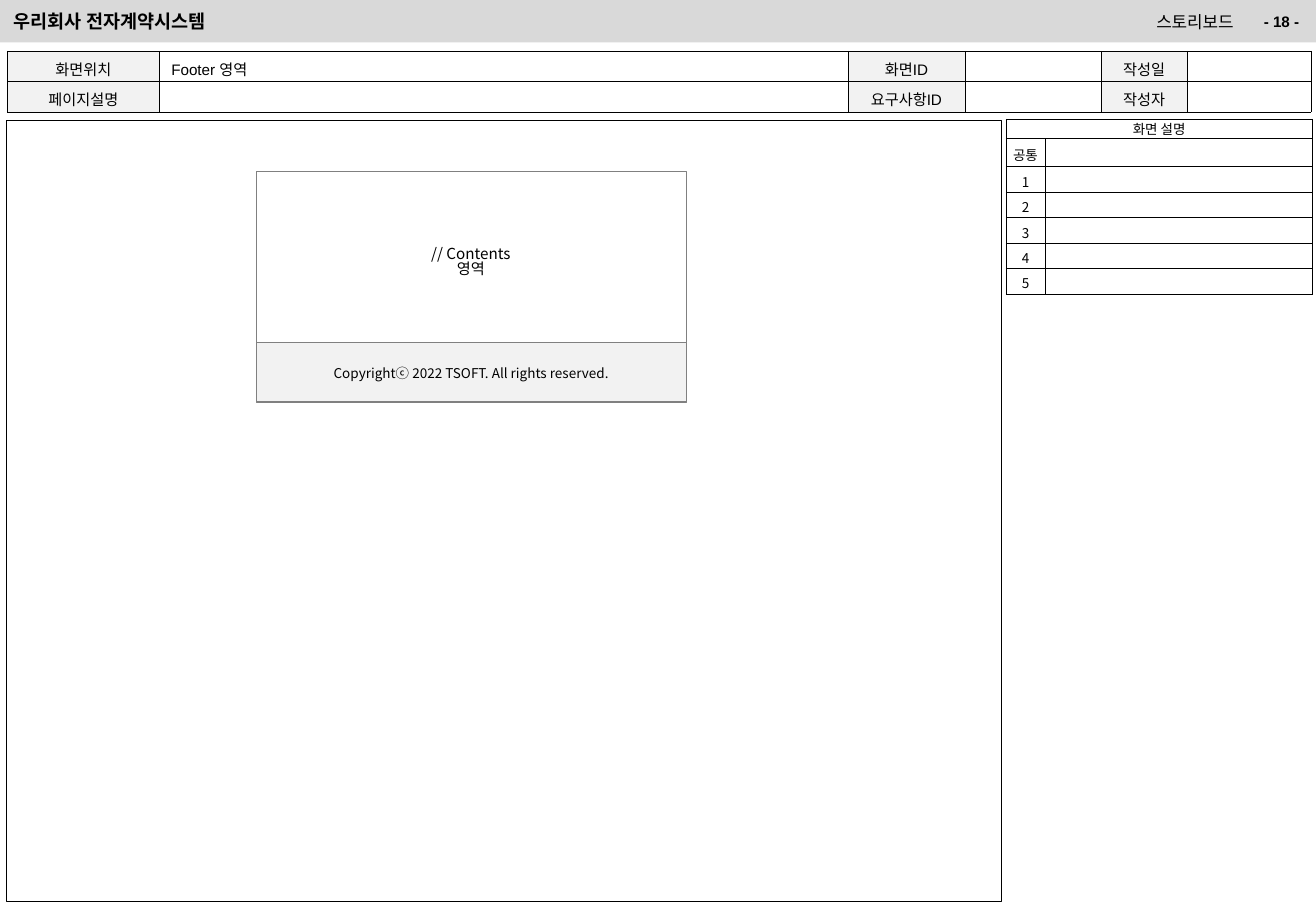
from typing import NamedTuple, Optional

from lxml.etree import SubElement
from pptx import Presentation
from pptx.dml.color import RGBColor
from pptx.enum.shapes import MSO_SHAPE as Shape
from pptx.enum.text import MSO_ANCHOR as Anchor, PP_ALIGN as Align
from pptx.oxml import parse_xml
from pptx.oxml.ns import nsdecls, qn
from pptx.util import Emu, Pt

PX = 9144  # 100 px to the inch
KOREAN = "Noto Sans CJK KR"
LATIN = "Arial"
BLACK, WHITE, BAND_GREY, LABEL_GREY, LINE_GREY = "000000", "FFFFFF", "D9D9D9", "F2F2F2", "808080"


class Box(NamedTuple):
    left: int
    top: int
    width: int
    height: int


class Panel(NamedTuple):
    box: Box
    fill: Optional[str] = None
    line: Optional[str] = None
    line_pt: float = 0.25


class Grid(NamedTuple):
    box: Box
    columns: list[int]
    rows: list[int]
    texts: list[list[str]]
    margins: tuple[int, int, int, int]
    label_fill: Optional[str]
    left_columns: tuple[int, ...]
    font: str
    size: float
    spacing: float


def px(length: int) -> Emu:
    return Emu(length * PX)


def color(value: str) -> RGBColor:
    return RGBColor.from_string(value)


def set_text(frame, text: str, *, size: float, font: str = KOREAN, bold: bool = False,
             align=Align.LEFT, anchor=Anchor.MIDDLE, spacing: float = 1.0, wrap: bool = True) -> None:
    frame.word_wrap = wrap
    frame.vertical_anchor = anchor
    for index, line in enumerate(text.split("\n")):
        paragraph = frame.add_paragraph() if index else frame.paragraphs[0]
        paragraph.alignment = align
        paragraph.line_spacing = spacing
        if not line:
            SubElement(paragraph._p, qn("a:endParaRPr"), sz=str(int(size * 100)))
            continue
        run = paragraph.add_run()
        run.text = line
        run.font.name, run.font.size, run.font.bold = font, Pt(size), bold
        run.font.color.rgb = color(BLACK)
        SubElement(run.font._element, qn("a:ea"), typeface=KOREAN)


def set_margins(target, margins: tuple[int, int, int, int]) -> None:
    target.margin_left, target.margin_top, target.margin_right, target.margin_bottom = map(px, margins)


def add_panel(slide, panel: Panel):
    shape = slide.shapes.add_shape(Shape.RECTANGLE, *map(px, panel.box))
    shape.shadow.inherit = False
    if panel.fill:
        shape.fill.solid()
        shape.fill.fore_color.rgb = color(panel.fill)
    else:
        shape.fill.background()
    if panel.line:
        shape.line.color.rgb = color(panel.line)
        shape.line.width = Pt(panel.line_pt)
    else:
        shape.line.fill.background()
    return shape


def add_label(slide, box: Box, text: str, **text_format) -> None:
    label = slide.shapes.add_textbox(*map(px, box))
    set_text(label.text_frame, text, **text_format)


def add_borders(cell) -> None:
    properties = cell._tc.get_or_add_tcPr()
    for position, side in enumerate(("lnL", "lnR", "lnT", "lnB")):
        properties.insert(position, parse_xml(
            f'<a:{side} {nsdecls("a")} w="3175"><a:solidFill><a:srgbClr val="{BLACK}"/>'
            f"</a:solidFill></a:{side}>"))


def add_grid(slide, grid: Grid):
    table = slide.shapes.add_table(len(grid.rows), len(grid.columns), *map(px, grid.box)).table
    table.first_row = table.horz_banding = False
    for column, width in zip(table.columns, grid.columns):
        column.width = px(width)
    for row, height in zip(table.rows, grid.rows):
        row.height = px(height)
    for row, texts in enumerate(grid.texts):
        for column, text in enumerate(texts):
            cell = table.cell(row, column)
            set_margins(cell, grid.margins)
            cell.vertical_anchor = Anchor.MIDDLE
            if grid.label_fill and column % 2 == 0:
                cell.fill.solid()
                cell.fill.fore_color.rgb = color(grid.label_fill)
            else:
                cell.fill.background()
            add_borders(cell)
            align = Align.LEFT if column in grid.left_columns else Align.CENTER
            set_text(cell.text_frame, text, size=grid.size, font=grid.font,
                     align=align, spacing=grid.spacing)
    return table


def main() -> None:
    deck = Presentation()
    deck.slide_width, deck.slide_height = px(1083), px(750)
    slide = deck.slides.add_slide(deck.slide_layouts[5])

    # Header band, with the title brought in front of it
    add_panel(slide, Panel(Box(0, 0, 1083, 35), fill=BAND_GREY))
    add_label(slide, Box(752, 5, 273, 25), "스토리보드", size=10, align=Align.RIGHT)
    title = slide.shapes.title
    title.left, title.top, title.width, title.height = map(px, Box(1, 3, 752, 29))
    set_text(title.text_frame, "우리회사 전자계약시스템", size=11, bold=True)
    title._element.getparent().append(title._element)
    add_label(slide, Box(1001, 5, 78, 25), "- 18 -", size=9, font=LATIN, bold=True, align=Align.RIGHT)

    # Drawing area and screen information
    add_panel(slide, Panel(Box(5, 99, 819, 643), fill=WHITE, line=BLACK))
    add_grid(slide, Grid(
        Box(6, 42, 1073, 50), [125, 567, 96, 112, 71, 102], [25, 25],
        [["화면위치", "Footer 영역", "화면ID", "", "작성일", ""],
         ["페이지설명", "", "요구사항ID", "", "작성자", ""]],
        margins=(10, 5, 10, 1), label_fill=LABEL_GREY, left_columns=(1,),
        font=LATIN, size=9, spacing=1.0))

    # Page mock-up: contents above the footer
    add_panel(slide, Panel(Box(211, 141, 354, 190), line=LINE_GREY, line_pt=0.1))
    add_label(slide, Box(331, 199, 113, 40), "// Contents\n영역", size=9, align=Align.CENTER,
              anchor=Anchor.TOP, spacing=0.82, wrap=False)
    footer = add_panel(slide, Panel(Box(211, 282, 354, 48), LABEL_GREY, LINE_GREY, 0.1))
    set_text(footer.text_frame, "Copyrightⓒ 2022 TSOFT. All rights reserved.", size=8,
             align=Align.CENTER, spacing=1.2)

    # Screen description
    row_labels = ["공통", *map(str, range(1, 6))]
    description = add_grid(slide, Grid(
        Box(828, 98, 252, 144), [32, 220], [16, 23] + [21] * 5,
        [["화면 설명", ""]] + [[label, ""] for label in row_labels],
        margins=(0, 0, 0, 0), label_fill=None, left_columns=(),
        font=KOREAN, size=8, spacing=1.2))
    description.cell(0, 0).text_frame.paragraphs[0].line_spacing = 1.0
    description.cell(0, 0).merge(description.cell(0, 1))

    deck.save("out.pptx")


if __name__ == "__main__":
    main()
